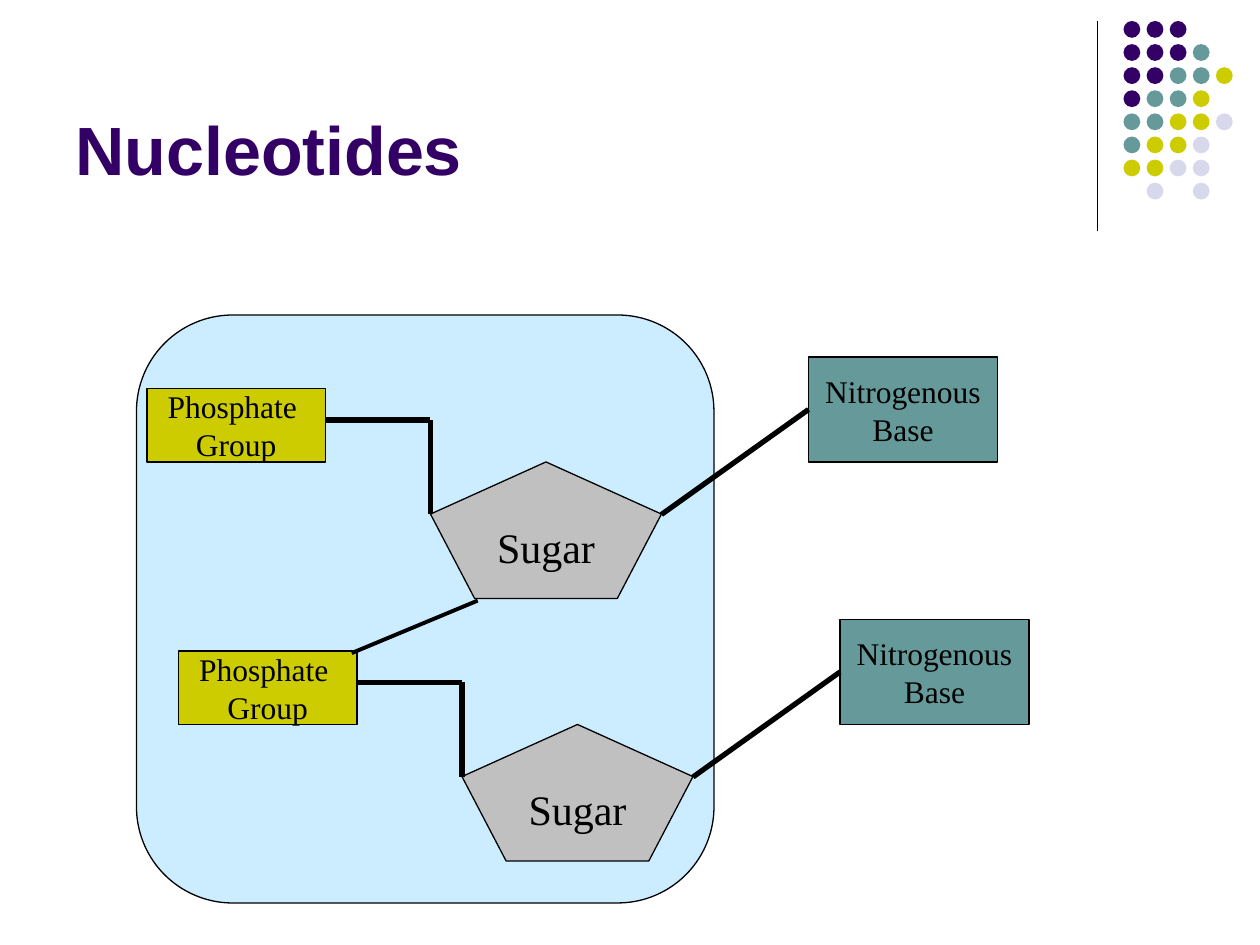
from dataclasses import dataclass
from typing import NamedTuple

from lxml import etree
from pptx import Presentation, util as u
from pptx.dml.color import RGBColor
from pptx.enum import shapes, text
from pptx.oxml import ns

COLS, ROWS = 120, 90
WIDE, HIGH = u.Inches(10), u.Inches(7.5)


@dataclass(frozen=True)
class Theme:
    ink: str = "000000"
    plum: str = "330066"
    teal: str = "669999"
    lime: str = "CCCC00"
    mist: str = "D8D8EC"
    sky: str = "CCECFF"
    gray: str = "C0C0C0"
    head: str = "Arial"
    body: str = "Times New Roman"
    title: float = 39
    large: float = 24
    small: float = 18
    thin: float = 0.75
    mid: float = 2.25
    thick: float = 3


class Box(NamedTuple):
    """Left, top, width and height in grid columns and rows."""
    x: float
    y: float
    w: float
    h: float


class Part(NamedTuple):
    """One labelled part; its box is relative to the nucleotide."""
    kind: shapes.MSO_SHAPE
    box: Box
    fill: str
    lines: tuple[str, ...]
    size: float


class Bond(NamedTuple):
    x1: float
    y1: float
    x2: float
    y2: float


T = Theme()
RECT = shapes.MSO_SHAPE.RECTANGLE
PARTS = (
    Part(RECT, Box(0, 0, 17, 7), T.lime, ("Phosphate ", "Group"), T.small),
    Part(shapes.MSO_SHAPE.REGULAR_PENTAGON, Box(27, 7, 22, 13), T.gray,
         ("Sugar",), T.large),
    Part(RECT, Box(63, -3, 18, 10), T.teal, ("Nitrogenous", "Base"), T.small),
)
BONDS = (Bond(27, 12, 27, 3), Bond(27, 3, 17, 3), Bond(49, 12, 63, 2))
STARTS = ((17, 62), (14, 37))
DOTS = ("PPP", "PPPT", "PPTTL", "PTTL", "TTLLM", "TLLM", "LLMM", " M M")
HUES = {"P": T.plum, "T": T.teal, "L": T.lime, "M": T.mist}


def col(n: float) -> int:
    return round(WIDE * n / COLS)


def row(n: float) -> int:
    return round(HIGH * n / ROWS)


def place(box: Box) -> tuple[int, int, int, int]:
    return col(box.x), row(box.y), col(box.w), row(box.h)


def shape(host, kind: shapes.MSO_SHAPE, box: Box, fill: str, edge: bool = True):
    item = host.add_shape(kind, *place(box))
    item.shadow.inherit = False
    item.fill.solid()
    item.fill.fore_color.rgb = RGBColor.from_string(fill)
    if edge:
        item.line.color.rgb = RGBColor.from_string(T.ink)
        item.line.width = u.Pt(T.thin)
    else:
        item.line.fill.background()
    return item


def line(host, bond: Bond, width: float) -> None:
    item = host.add_connector(
        shapes.MSO_CONNECTOR.STRAIGHT,
        col(bond.x1), row(bond.y1), col(bond.x2), row(bond.y2))
    item.line.color.rgb = RGBColor.from_string(T.ink)
    item.line.width = u.Pt(width)
    etree.SubElement(item._element.spPr, ns.qn("a:effectLst"))


def write(para, words: str, face: str, size: float, hue: str,
          bold: bool = False) -> None:
    run = para.add_run()
    run.text = words
    font = run.font
    font.name, font.size, font.bold = face, u.Pt(size), bold
    font.color.rgb = RGBColor.from_string(hue)


def label(item, part: Part) -> None:
    frame = item.text_frame
    frame.word_wrap = False
    frame.vertical_anchor = text.MSO_ANCHOR.MIDDLE
    for i, words in enumerate(part.lines):
        para = frame.add_paragraph() if i else frame.paragraphs[0]
        para.alignment = text.PP_ALIGN.CENTER
        write(para, words, T.body, part.size, T.ink)


def unit(host, x: float, y: float) -> None:
    """Draw one nucleotide with its phosphate at the given column and row."""
    group = host.add_group_shape().shapes
    for part in PARTS:
        box = part.box._replace(x=x + part.box.x, y=y + part.box.y)
        label(shape(group, part.kind, box, part.fill), part)
    for b in BONDS:
        line(group, Bond(x + b.x1, y + b.y1, x + b.x2, y + b.y2), T.thick)


def corner(host) -> None:
    """Draw the rule and the dot grid at the top right."""
    line(host, Bond(104.5, 2, 104.5, 22), T.thin)
    group = host.add_group_shape().shapes
    step, size = 2.2, 1.6
    for j, marks in enumerate(DOTS):
        for i, mark in enumerate(marks):
            if mark in HUES:
                box = Box(107 + i * step, 2 + j * step, size, size)
                shape(group, shapes.MSO_SHAPE.OVAL, box, HUES[mark], False)


def title(host, words: str) -> None:
    frame = host.add_textbox(*place(Box(6, 9.6, 99, 9))).text_frame
    frame.word_wrap = True
    frame.vertical_anchor = text.MSO_ANCHOR.BOTTOM
    write(frame.paragraphs[0], words, T.head, T.title, T.plum, True)


def main() -> None:
    deck = Presentation()
    deck.slide_width, deck.slide_height = WIDE, HIGH
    host = deck.slides.add_slide(deck.slide_layouts[6]).shapes
    corner(host)
    panel = shape(host, shapes.MSO_SHAPE.ROUNDED_RECTANGLE,
                  Box(13, 30, 55, 56), T.sky)
    panel.adjustments[0] = 1 / 6
    title(host, "Nucleotides")
    for x, y in STARTS:
        unit(host, x, y)
    line(host, Bond(33.5, 62.2, 45.5, 57.2), T.mid)
    deck.save("out.pptx")


if __name__ == "__main__":
    main()
